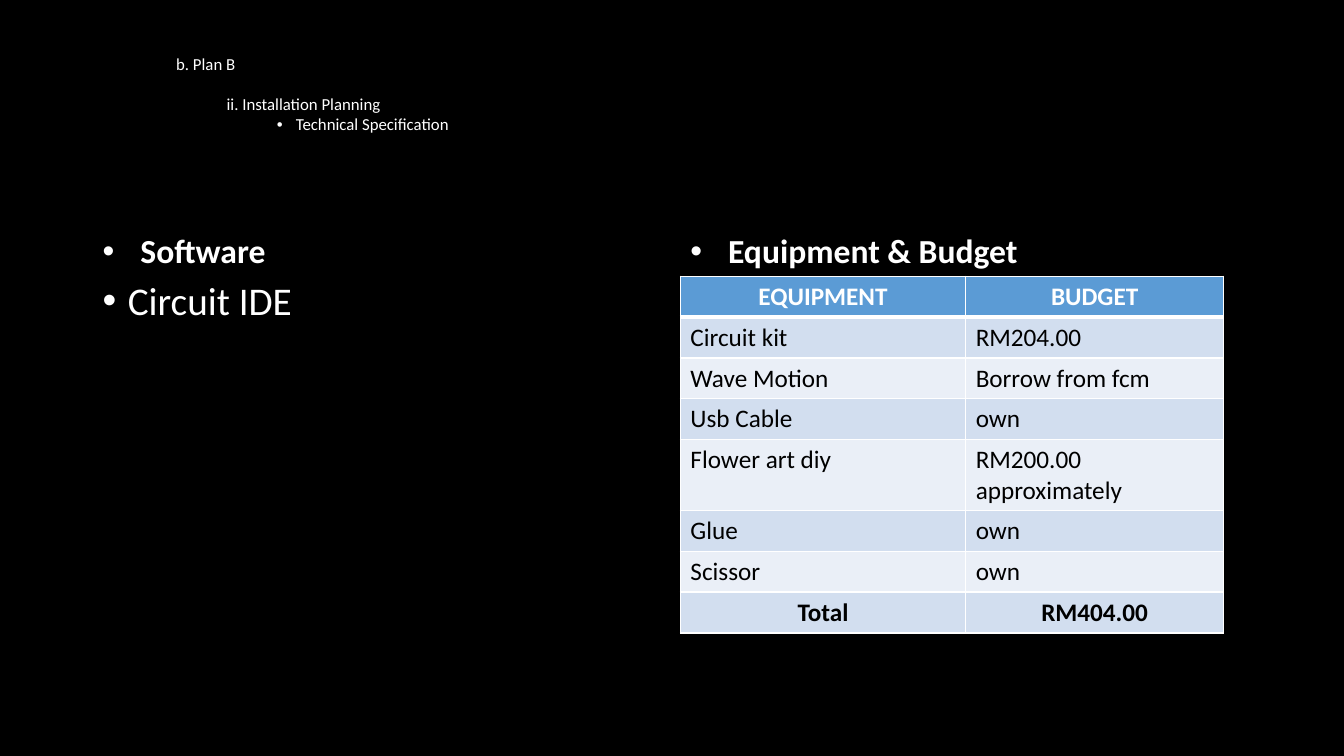
"""Build the Plan B technical specification slide with its budget table."""
from dataclasses import dataclass

from lxml.etree import SubElement
from pptx import Presentation
from pptx.dml.color import RGBColor as Color
from pptx.enum.text import MSO_ANCHOR as Anchor, PP_ALIGN as Align
from pptx.oxml.ns import qn
from pptx.util import Pt

OUTLINE = [
    {"text": "b. Plan B"},
    {"text": "ii. Installation Planning", "margin": 36, "before": 14.65},
    {"text": "Technical Specification", "margin": 85.5, "hanging": 13.5},
]
SOFTWARE_HEADING = "Software"
SOFTWARE = "Circuit IDE"
BUDGET_HEADING = "Equipment & Budget"
BUDGET = [
    ("EQUIPMENT", "BUDGET"),
    ("Circuit kit", "RM204.00"),
    ("Wave Motion", "Borrow from fcm"),
    ("Usb Cable", "own"),
    ("Flower art diy", "RM200.00 approximately"),
    ("Glue", "own"),
    ("Scissor", "own"),
    ("Total", "RM404.00"),
]


@dataclass(frozen=True)
class Theme:
    """Colours, font and type sizes."""
    font: str = "Calibri"
    black: str = "000000"
    white: str = "FFFFFF"
    header: str = "5B9BD5"
    bands: tuple = ("EAEFF7", "D2DEEF")
    outline: int = 12
    cell: int = 18
    heading: int = 24
    body: int = 28


THEME = Theme()
LEFT, RIGHT = 66.24, 486
HEADING_TOP, BODY_TOP = 132.48, 197.28
COLUMN_WIDTHS = (203.8, 184.3)
ROW_HEIGHT = 29.2


def style(para, size, color, bold=False):
    """Set the font of a paragraph."""
    font = para.font
    font.name, font.size, font.bold = THEME.font, Pt(size), bold
    font.color.rgb = Color.from_string(color)


def indent(para, margin, hanging):
    """Indent a paragraph, with a bullet where it hangs."""
    props = para._p.get_or_add_pPr()
    props.set("marL", str(Pt(margin)))
    props.set("indent", str(-Pt(hanging)))
    if hanging:
        SubElement(props, qn("a:buFont"), typeface="Arial")
        SubElement(props, qn("a:buChar"), char="•")


def add_box(slide, left, top, width, height, anchor=Anchor.TOP):
    """Add a wrapping text box and return its text frame."""
    frame = slide.shapes.add_textbox(Pt(left), Pt(top), Pt(width), Pt(height)).text_frame
    frame.word_wrap = True
    frame.vertical_anchor = anchor
    return frame


def add_bullet(slide, text, box, size, hanging, bold=False, anchor=Anchor.TOP):
    """Add a text box with one bulleted line."""
    para = add_box(slide, *box, anchor).paragraphs[0]
    para.text = text
    para.line_spacing, para.space_before = 0.9, Pt(10)
    indent(para, hanging, hanging)
    style(para, size, THEME.white, bold)


def add_outline(slide):
    """Add the indented outline at the top."""
    frame = add_box(slide, 118.8, 34.56, 211.68, 87.12)
    for index, item in enumerate(OUTLINE):
        para = frame.add_paragraph() if index else frame.paragraphs[0]
        para.text = item["text"]
        para.space_before = Pt(item.get("before", 0))
        indent(para, item.get("margin", 0), item.get("hanging", 0))
        style(para, THEME.outline, THEME.white)


def add_borders(cell, bottom):
    """Draw the white borders of a cell."""
    props = cell._tc.get_or_add_tcPr()
    widths = {"a:lnL": 1, "a:lnR": 1, "a:lnT": 1, "a:lnB": bottom}
    for position, (tag, width) in enumerate(widths.items()):
        line = SubElement(props, qn(tag), w=str(Pt(width)))
        fill = SubElement(line, qn("a:solidFill"))
        SubElement(fill, qn("a:srgbClr"), val=THEME.white)
        props.insert(position, line)


def add_budget(slide):
    """Add the equipment and budget table."""
    last = len(BUDGET) - 1
    table = slide.shapes.add_table(
        len(BUDGET), len(COLUMN_WIDTHS), Pt(RIGHT), Pt(BODY_TOP),
        Pt(sum(COLUMN_WIDTHS)), Pt(ROW_HEIGHT * len(BUDGET))).table
    for column, width in zip(table.columns, COLUMN_WIDTHS):
        column.width = Pt(width)
    for index, values in enumerate(BUDGET):
        table.rows[index].height = Pt(ROW_HEIGHT)
        is_header, strong = index == 0, index in (0, last)
        fill = THEME.header if is_header else THEME.bands[index % 2]
        for cell, value in zip(table.rows[index].cells, values):
            cell.text = value
            cell.fill.solid()
            cell.fill.fore_color.rgb = Color.from_string(fill)
            add_borders(cell, 3 if is_header or index == 0 else 1)
            para = cell.text_frame.paragraphs[0]
            para.alignment = Align.CENTER if strong else Align.LEFT
            style(para, THEME.cell, THEME.white if is_header else THEME.black, strong)


def main():
    """Build and save the deck."""
    deck = Presentation()
    deck.slide_width, deck.slide_height = Pt(960), Pt(540)
    slide = deck.slides.add_slide(deck.slide_layouts[6])
    slide.background.fill.solid()
    slide.background.fill.fore_color.rgb = Color.from_string(THEME.black)
    for text, left, width in ((SOFTWARE_HEADING, LEFT, 406), (BUDGET_HEADING, RIGHT, 408)):
        add_bullet(slide, text, (left, HEADING_TOP, width, 64.8), THEME.heading, 27,
                   bold=True, anchor=Anchor.BOTTOM)
    add_bullet(slide, SOFTWARE, (LEFT, BODY_TOP, 406, 290), THEME.body, 18)
    add_budget(slide)
    add_outline(slide)
    deck.save("out.pptx")


if __name__ == "__main__":
    main()
